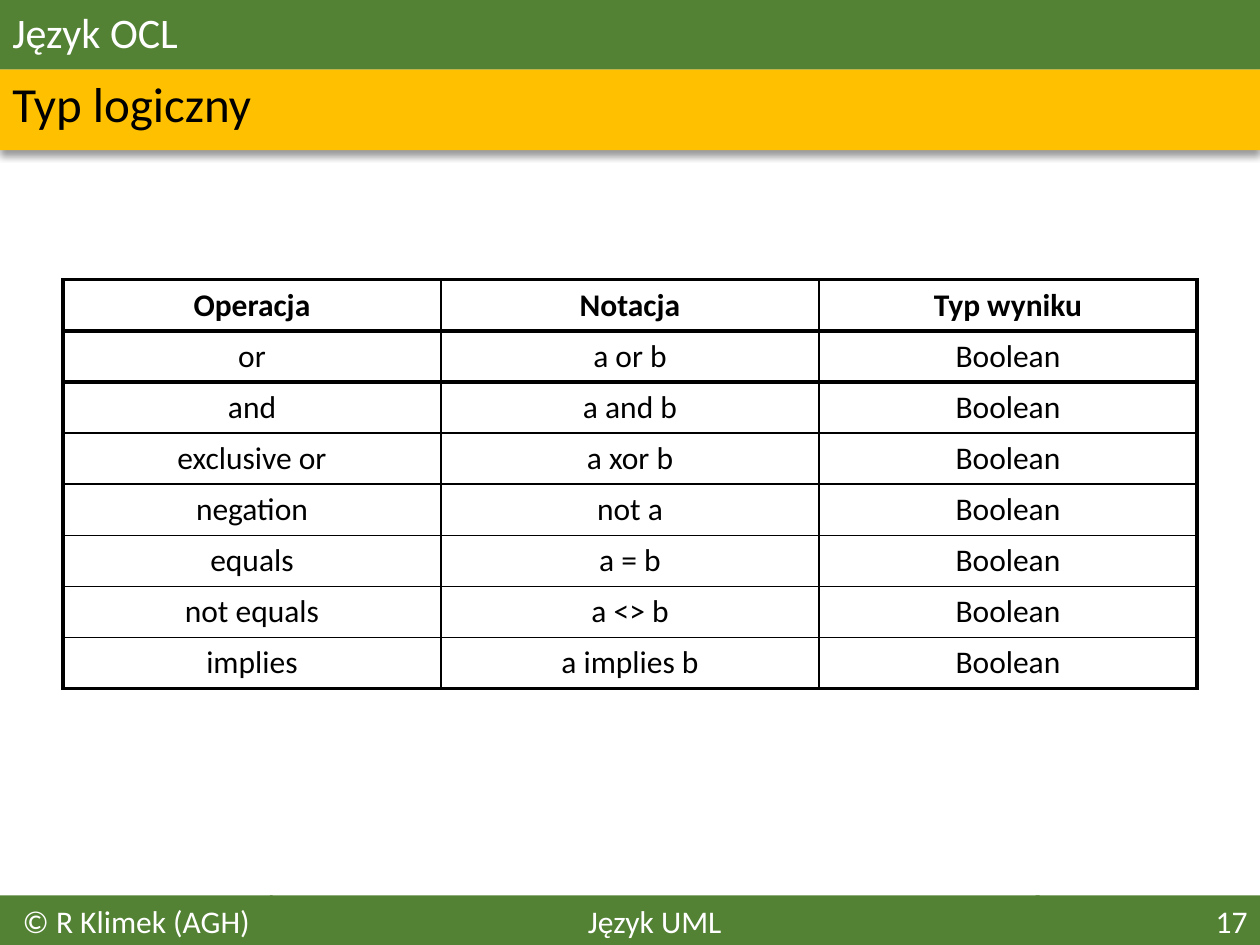
from lxml.etree import SubElement
from pptx import Presentation
from pptx.dml.color import RGBColor
from pptx.enum.shapes import MSO_SHAPE
from pptx.enum.text import MSO_ANCHOR, PP_ALIGN
from pptx.oxml.ns import qn
from pptx.util import Cm, Pt

GREEN = RGBColor(0x54, 0x82, 0x35)
AMBER = RGBColor(0xFF, 0xC0, 0x00)
WHITE = RGBColor(0xFF, 0xFF, 0xFF)
BLACK = RGBColor(0x00, 0x00, 0x00)

# Content
TITLE = "Język OCL"
SUBTITLE = "Typ logiczny"
HEADER = ("Operacja", "Notacja", "Typ wyniku")
OPERATIONS = [
    ("or", "a or b"),
    ("and", "a and b"),
    ("exclusive or", "a xor b"),
    ("negation", "not a"),
    ("equals", "a = b"),
    ("not equals", "a <> b"),
    ("implies", "a implies b"),
]
ROWS = [HEADER] + [(name, notation, "Boolean") for name, notation in OPERATIONS]
# Footer: text, left, width, alignment
FOOTER = [
    ("Język UML", 5.44, 15.52, PP_ALIGN.CENTER),
    ("© R Klimek (AGH)", 0, 5.5, PP_ALIGN.CENTER),
    ("17", 20.88, 4.52, PP_ALIGN.RIGHT),
]

# Layout in centimetres
WIDTH, HEIGHT = 25.4, 19.05
TITLE_H, BAND_H, SUBTITLE_H = 1.4, 1.63, 1.5
FOOTER_TOP = 18.05
TABLE_LEFT, TABLE_TOP, COL_W, ROW_H = 1.27, 5.64, 7.62, 1.03
THIN, THICK = 1, 2.25
THICK_ROW_LINES = {0, 1, 2, len(ROWS)}
THICK_COL_LINES = {0, len(HEADER)}


def write(tf, text, align=PP_ALIGN.LEFT, spacing=None, **font):
    p = tf.paragraphs[0]
    p.alignment, p.line_spacing = align, spacing
    r = p.add_run()
    r.text = text
    r.font.color.rgb = font.pop("color")
    for name, value in {"name": "Calibri", **font}.items():
        setattr(r.font, name, value)


def add_bar(shapes, left, top, width, height, color):
    bar = shapes.add_shape(MSO_SHAPE.RECTANGLE, Cm(left), Cm(top), Cm(width), Cm(height))
    bar.shadow.inherit = False
    bar.fill.solid()
    bar.fill.fore_color.rgb = color
    bar.line.fill.background()
    return bar


def add_shadow(shape):
    effects = shape._element.spPr.find(qn("a:effectLst"))
    shadow = SubElement(effects, qn("a:outerShdw"), blurRad=str(Pt(4)), dist=str(Pt(3)),
                        dir="5400000", algn="t", rotWithShape="0")
    color = SubElement(shadow, qn("a:srgbClr"), val=str(BLACK))
    SubElement(color, qn("a:alpha"), val="40000")


def set_borders(cell, widths):
    tcPr = cell._tc.get_or_add_tcPr()
    for i, (side, width) in enumerate(widths.items()):
        ln = tcPr.makeelement(qn(f"a:{side}"), {"w": str(Pt(width))})
        fill = SubElement(ln, qn("a:solidFill"))
        SubElement(fill, qn("a:srgbClr"), val=str(BLACK))
        tcPr.insert(i, ln)


def main():
    prs = Presentation()
    prs.slide_width, prs.slide_height = Cm(WIDTH), Cm(HEIGHT)
    shapes = prs.slides.add_slide(prs.slide_layouts[6]).shapes

    # Subtitle band
    add_shadow(add_bar(shapes, 0, TITLE_H, WIDTH, BAND_H, AMBER))
    tf = shapes.add_textbox(0, Cm(TITLE_H), Cm(WIDTH), Cm(SUBTITLE_H)).text_frame
    tf.word_wrap, tf.vertical_anchor = True, MSO_ANCHOR.MIDDLE
    write(tf, SUBTITLE, spacing=0.9, size=Pt(28), color=BLACK)

    # Title bar
    tf = add_bar(shapes, 0, 0, WIDTH, TITLE_H, GREEN).text_frame
    tf.vertical_anchor = MSO_ANCHOR.MIDDLE
    write(tf, TITLE, spacing=0.9, size=Pt(24), color=WHITE)

    # Footer
    for text, left, width, align in FOOTER:
        tf = add_bar(shapes, left, FOOTER_TOP, width, HEIGHT - FOOTER_TOP, GREEN).text_frame
        tf.vertical_anchor = MSO_ANCHOR.TOP
        write(tf, text, align, size=Pt(18), color=WHITE)

    # Table of operations
    n_rows, n_cols = len(ROWS), len(HEADER)
    table = shapes.add_table(n_rows, n_cols, Cm(TABLE_LEFT), Cm(TABLE_TOP),
                             Cm(n_cols * COL_W), Cm(n_rows * ROW_H)).table
    table.first_row = table.horz_banding = False
    for column in table.columns:
        column.width = Cm(COL_W)
    for i, row in enumerate(ROWS):
        table.rows[i].height = Cm(ROW_H)
        for j, text in enumerate(row):
            cell = table.cell(i, j)
            cell.fill.background()
            write(cell.text_frame, text, PP_ALIGN.CENTER, size=Pt(18), color=BLACK, bold=i == 0)
            set_borders(cell, {
                "lnL": THICK if j in THICK_COL_LINES else THIN,
                "lnR": THICK if j + 1 in THICK_COL_LINES else THIN,
                "lnT": THICK if i in THICK_ROW_LINES else THIN,
                "lnB": THICK if i + 1 in THICK_ROW_LINES else THIN,
            })

    prs.save("out.pptx")


if __name__ == "__main__":
    main()
